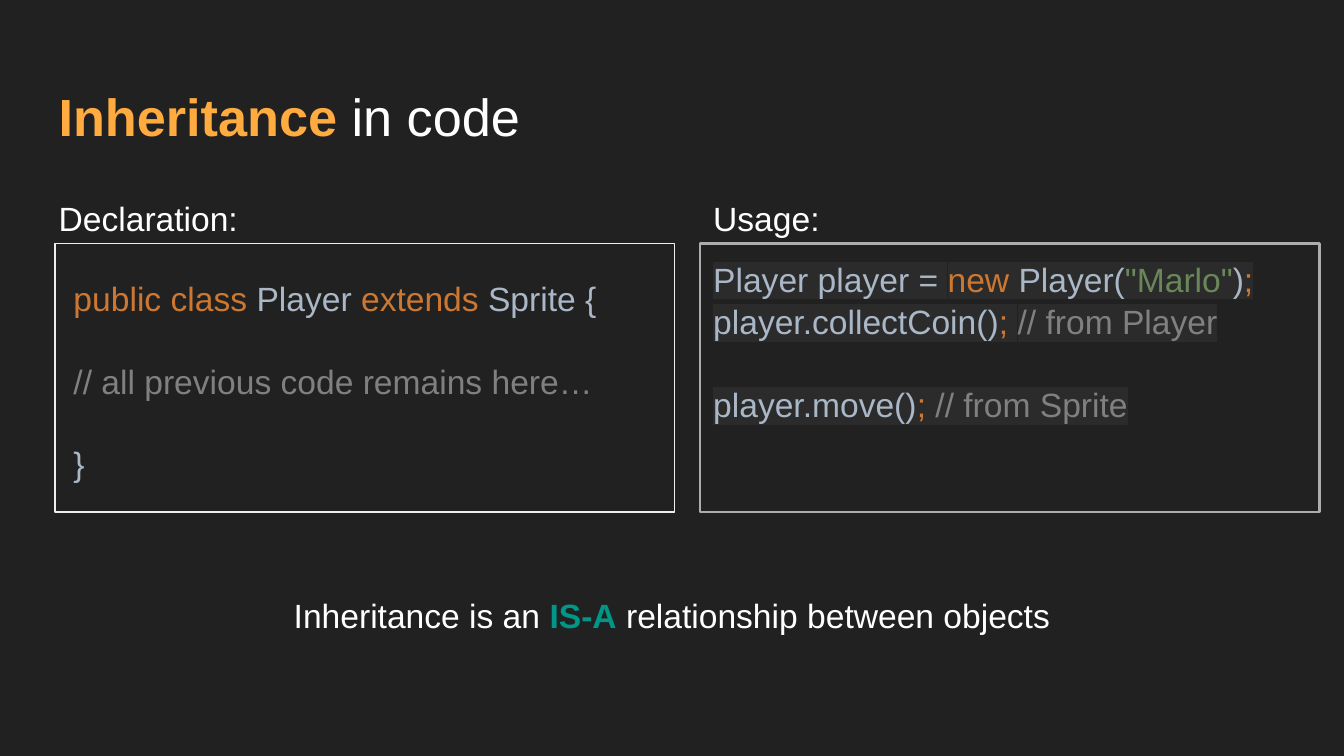
from pptx import Presentation
from pptx import util as u
from pptx.dml.color import RGBColor
from pptx.enum import shapes, text
from lxml import etree

BACKGROUND = RGBColor(0x21, 0x21, 0x21)
WHITE = RGBColor(0xFF, 0xFF, 0xFF)
ORANGE = RGBColor(0xFF, 0xAB, 0x40)
TEAL = RGBColor(0x00, 0x96, 0x88)
PALE = RGBColor(0xEE, 0xEE, 0xEE)
GREY = RGBColor(0xAD, 0xAD, 0xAD)
KEYWORD = RGBColor(0xCC, 0x78, 0x32)
PLAIN = RGBColor(0xA9, 0xB7, 0xC6)
STRING = RGBColor(0x6A, 0x87, 0x59)
COMMENT = RGBColor(0x80, 0x80, 0x80)
CODE_BACK = RGBColor(0x2B, 0x2B, 0x2B)

DRAWING = "http://schemas.openxmlformats.org/drawingml/2006/main"

LEFT_FRAME, RIGHT_FRAME = 1.04, 13.23
FRAME_TOP, FRAME_WIDTH, FRAME_HEIGHT = 4.6, 11.71, 5.08
LABEL_TOP, LABEL_WIDTH, LABEL_HEIGHT = 3.45, 12.29, 1.12
LABEL_LEFT = 0.86


class SlideBuilder:
    font = "Arial"
    size = 18
    inset = u.Cm(0.25)
    line_spacing = 1.05

    def __init__(self, page):
        self.page = page
        page.background.fill.solid()
        page.background.fill.fore_color.rgb = BACKGROUND

    def frame(self, left, colour, weight):
        box = self.page.shapes.add_shape(
            shapes.MSO_SHAPE.RECTANGLE, u.Cm(left), u.Cm(FRAME_TOP),
            u.Cm(FRAME_WIDTH), u.Cm(FRAME_HEIGHT))
        box.shadow.inherit = False
        box.fill.background()
        box.line.color.rgb = colour
        box.line.width = u.Pt(weight)
        return box

    def text_box(self, left, top, width, height, lines, **style):
        box = self.page.shapes.add_textbox(
            u.Cm(left), u.Cm(top), u.Cm(width), u.Cm(height))
        self.fill_text(box, lines, **style)

    def fill_text(self, box, lines, size=None, align=text.PP_ALIGN.LEFT,
                  back=None):
        """Fill a box; each line is a list of (words, colour[, bold]) runs.

        An empty line becomes one line of space before the next paragraph.
        """
        size = size or self.size
        frame = box.text_frame
        frame.word_wrap = True
        frame.vertical_anchor = text.MSO_ANCHOR.TOP
        frame.margin_left = frame.margin_right = self.inset
        frame.margin_top = frame.margin_bottom = self.inset
        para, gap = frame.paragraphs[0], 0
        for index, line in enumerate(lines):
            if not line:
                gap += size * 1.15 * self.line_spacing
                continue
            if index:
                para = frame.add_paragraph()
            para.alignment = align
            para.line_spacing = self.line_spacing
            para.space_before = u.Pt(gap)
            gap = 0
            for run in line:
                self.span(para, size, back, *run)

    def span(self, para, size, back, words, colour, bold=False):
        span = para.add_run()
        span.text = words
        span.font.name = self.font
        span.font.size = u.Pt(size)
        span.font.bold = bold
        span.font.color.rgb = colour
        if back:
            self.highlight(span, back)

    def highlight(self, span, colour):
        mark = etree.Element(f"{{{DRAWING}}}highlight")
        etree.SubElement(mark, f"{{{DRAWING}}}srgbClr", val=str(colour))
        fill = span.font._element.find(f"{{{DRAWING}}}solidFill")
        fill.addnext(mark)


def main():
    deck = Presentation()
    deck.slide_width, deck.slide_height = u.Cm(25.4), u.Cm(14.29)
    builder = SlideBuilder(deck.slides.add_slide(deck.slide_layouts[6]))

    builder.frame(LEFT_FRAME, PALE, 0.75)
    builder.text_box(LABEL_LEFT, 1.29, 23.67, 1.6, [
        [("Inheritance", ORANGE, True), (" in code", WHITE)],
    ], size=28)
    builder.text_box(1.14, 4.96, 11.43, 4.75, [
        [("public class ", KEYWORD), ("Player ", PLAIN),
         ("extends ", KEYWORD), ("Sprite {", PLAIN)],
        [],
        [("// all previous code remains here…", COMMENT)],
        [],
        [("}", PLAIN)],
    ])

    usage = builder.frame(RIGHT_FRAME, GREY, 1.5)
    builder.fill_text(usage, [
        [("Player player = ", PLAIN), ("new ", KEYWORD), ("Player(", PLAIN),
         ('"Marlo"', STRING), (")", PLAIN), (";", KEYWORD)],
        [("player.collectCoin()", PLAIN), ("; ", KEYWORD),
         ("// from Player", COMMENT)],
        [],
        [("player.move()", PLAIN), ("; ", KEYWORD),
         ("// from Sprite", COMMENT)],
    ], back=CODE_BACK)

    for left, label in ((LABEL_LEFT, "Declaration:"), (RIGHT_FRAME, "Usage:")):
        builder.text_box(left, LABEL_TOP, LABEL_WIDTH, LABEL_HEIGHT,
                         [[(label, WHITE)]])
    builder.text_box(0, 10.95, 25.4, 2.21, [
        [("Inheritance is an ", WHITE), ("IS-A", TEAL, True),
         (" relationship between objects", WHITE)],
    ], align=text.PP_ALIGN.CENTER)

    deck.save("out.pptx")


if __name__ == "__main__":
    main()
